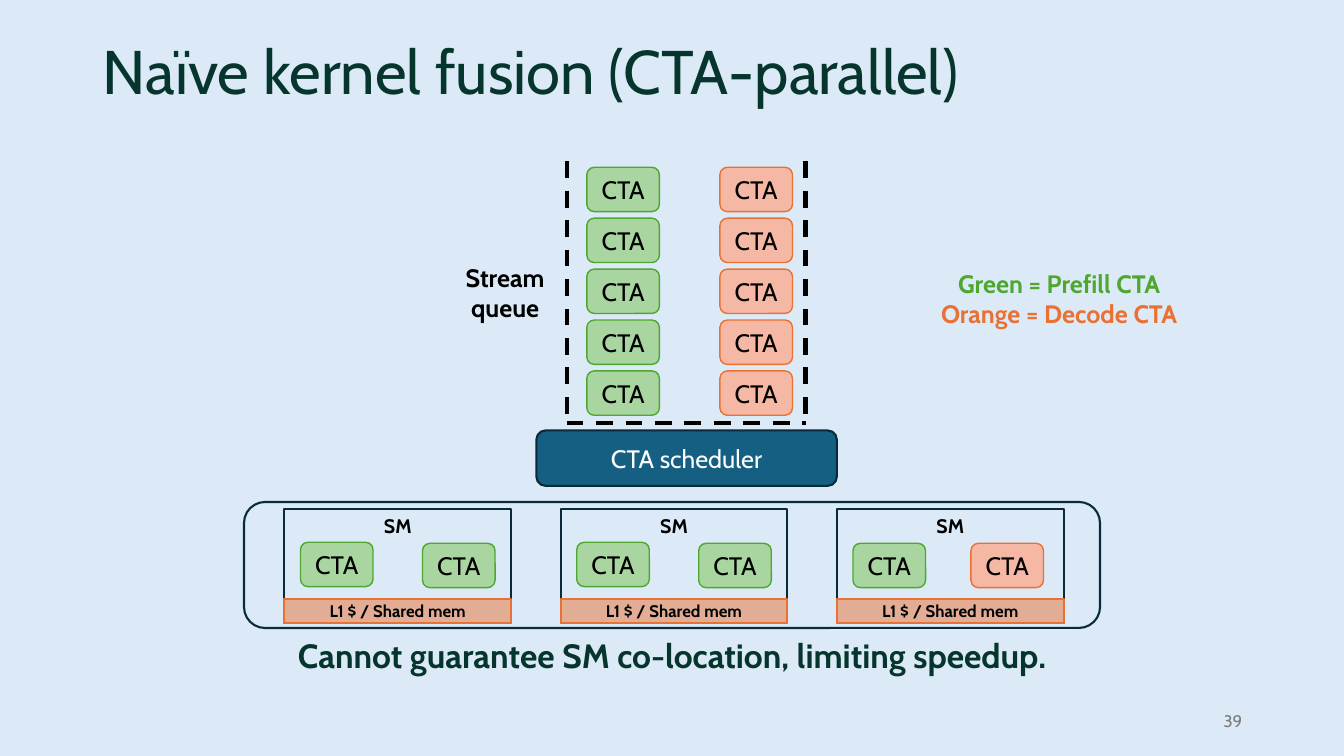
from lxml import etree
from pptx import Presentation
from pptx.dml.color import RGBColor
from pptx.enum.dml import MSO_LINE
from pptx.enum.shapes import MSO_CONNECTOR, MSO_SHAPE
from pptx.enum.text import MSO_ANCHOR as Anchor, MSO_AUTO_SIZE, PP_ALIGN as Align
from pptx.oxml.ns import qn
from pptx.util import Inches, Pt

TITLE = "Naïve kernel fusion (CTA-parallel)"
TAKEAWAY = "Cannot guarantee SM co-location, limiting speedup."
PAGE_NUMBER = "39"
QUEUE_LABEL = ["Stream", "queue"]
LEGEND = [("Green = Prefill CTA", "prefill_line"), ("Orange = Decode CTA", "decode_line")]
QUEUE = ["prefill", "decode"]
QUEUE_DEPTH = 5
# Each SM holds (kind, left offset, top offset) for its CTAs
SMS = [
    [("prefill", 0.16, 0.33), ("prefill", 1.37, 0.34)],
    [("prefill", 0.16, 0.33), ("prefill", 1.37, 0.34)],
    [("prefill", 0.16, 0.34), ("decode", 1.33, 0.34)],
]

COLORS = {
    "background": "DCEAF7", "heading": "06352E", "muted": "797979",
    "black": "000000", "white": "FFFFFF", "outline": "092A39",
    "scheduler": "156082", "prefill": "A8D5A0", "prefill_line": "4EA72E",
    "decode": "F5B8A5", "decode_line": "E97132",
}
FONT = "Cabin"
SLIDE_W, SLIDE_H = 13.33, 7.5
MARGIN = 0.92
CONTENT_W = SLIDE_W - 2 * MARGIN
CTA_W, CTA_H = 0.72, 0.44
QUEUE_LEFT, QUEUE_RIGHT, QUEUE_TOP, QUEUE_BOTTOM = 5.62, 7.99, 1.6, 4.2
LANE_LEFT, LANE_PITCH = 5.82, 1.32
FIRST_CTA_TOP, LAST_CTA_TOP = 1.66, 3.68
SM_LEFT, SM_TOP, SM_PITCH = 2.82, 5.05, 2.74
SM_W, SM_H, MEMORY_H = 2.25, 1.13, 0.24


def rgb(name):
    return RGBColor.from_string(COLORS[name])


def write(shape, lines, size, color="black", bold=False, align=Align.CENTER,
          anchor=Anchor.MIDDLE, wrap=True, spacing=None):
    """Fill a shape with lines, each a string or a (string, color) pair."""
    frame = shape.text_frame
    frame.auto_size = MSO_AUTO_SIZE.NONE
    frame.word_wrap = wrap
    frame.vertical_anchor = anchor
    for index, line in enumerate(lines):
        words, line_color = (line, color) if isinstance(line, str) else line
        para = frame.paragraphs[0] if index == 0 else frame.add_paragraph()
        para.alignment = align
        para.space_before = Pt(0)
        if spacing:
            para.line_spacing = spacing
        span = para.add_run()
        span.text = words
        span.font.name = FONT
        span.font.size = Pt(size)
        span.font.bold = bold
        span.font.color.rgb = rgb(line_color)


def place(shape, left, top, width, height):
    shape.left, shape.top = Inches(left), Inches(top)
    shape.width, shape.height = Inches(width), Inches(height)


def add_box(page, kind, left, top, width, height, line, fill=None, weight=1.5, alpha=None):
    box = page.shapes.add_shape(kind, Inches(left), Inches(top), Inches(width), Inches(height))
    box.shadow.inherit = False
    if fill:
        box.fill.solid()
        box.fill.fore_color.rgb = rgb(fill)
    else:
        box.fill.background()
    if alpha:
        color = box.fill._xPr.find(qn("a:solidFill"))[0]
        etree.SubElement(color, qn("a:alpha")).set("val", str(alpha * 1000))
    box.line.color.rgb = rgb(line)
    box.line.width = Pt(weight)
    return box


def add_label(page, left, top, width, height, lines, size, **style):
    box = page.shapes.add_textbox(Inches(left), Inches(top), Inches(width), Inches(height))
    write(box, lines, size, **style)


def add_cta(page, kind, left, top):
    box = add_box(page, MSO_SHAPE.ROUNDED_RECTANGLE, left, top, CTA_W, CTA_H,
                  kind + "_line", kind, weight=1)
    write(box, ["CTA"], 18)


def add_dashed_line(page, *ends):
    edge = page.shapes.add_connector(MSO_CONNECTOR.STRAIGHT, *map(Inches, ends))
    edge.line.color.rgb = rgb("black")
    edge.line.width = Pt(3)
    edge.line.dash_style = MSO_LINE.DASH
    etree.SubElement(edge._element.spPr, qn("a:effectLst"))


def add_headings(page):
    title, takeaway = page.placeholders
    place(title, MARGIN, 0.01, CONTENT_W, 1.45)
    write(title, [TITLE], 44, color="heading", align=Align.LEFT, spacing=0.9)
    place(takeaway, MARGIN, 6.09, CONTENT_W, 0.87)
    properties = takeaway.text_frame.paragraphs[0]._p.get_or_add_pPr()
    properties.set("marL", "0")
    properties.set("indent", "0")
    etree.SubElement(properties, qn("a:buNone"))
    write(takeaway, [TAKEAWAY], 24, color="heading", bold=True, spacing=0.9)
    add_label(page, 9.42, 6.95, 3, 0.4, [PAGE_NUMBER], 12, color="muted", align=Align.RIGHT)


def add_queue(page):
    for side in (QUEUE_LEFT, QUEUE_RIGHT):
        add_dashed_line(page, side, QUEUE_TOP, side, QUEUE_BOTTOM)
    add_dashed_line(page, QUEUE_LEFT, QUEUE_BOTTOM, QUEUE_RIGHT, QUEUE_BOTTOM)
    row_pitch = (LAST_CTA_TOP - FIRST_CTA_TOP) / (QUEUE_DEPTH - 1)
    for lane, kind in enumerate(QUEUE):
        for row in range(QUEUE_DEPTH):
            add_cta(page, kind, LANE_LEFT + lane * LANE_PITCH, FIRST_CTA_TOP + row * row_pitch)
    add_label(page, 4.49, 2.55, 1.04, 0.71, QUEUE_LABEL, 18, bold=True,
              anchor=Anchor.TOP, wrap=False)
    add_label(page, 9.18, 2.61, 2.65, 0.71, LEGEND, 18, bold=True,
              anchor=Anchor.TOP, wrap=False)


def add_processor(page):
    scheduler = add_box(page, MSO_SHAPE.ROUNDED_RECTANGLE, 5.32, 4.27, 2.98, 0.55,
                        "outline", "scheduler")
    write(scheduler, ["CTA scheduler"], 18, color="white")
    add_box(page, MSO_SHAPE.ROUNDED_RECTANGLE, 2.42, 4.98, 8.49, 1.25, "outline")
    for index, ctas in enumerate(SMS):
        left = SM_LEFT + index * SM_PITCH
        add_box(page, MSO_SHAPE.RECTANGLE, left, SM_TOP, SM_W, SM_H, "outline")
        memory = add_box(page, MSO_SHAPE.RECTANGLE, left, SM_TOP + SM_H - MEMORY_H, SM_W,
                         MEMORY_H, "decode_line", "decode_line", alpha=50)
        write(memory, ["L1 $ / Shared mem"], 12, bold=True)
        add_label(page, left + 0.88, SM_TOP, 0.49, 0.34, ["SM"], 14, bold=True,
                  anchor=Anchor.TOP, wrap=False)
        for kind, across, down in ctas:
            add_cta(page, kind, left + across, SM_TOP + down)


def main():
    deck = Presentation()
    deck.slide_width, deck.slide_height = Inches(SLIDE_W), Inches(SLIDE_H)
    page = deck.slides.add_slide(deck.slide_layouts[1])
    page.background.fill.solid()
    page.background.fill.fore_color.rgb = rgb("background")
    add_headings(page)
    add_queue(page)
    add_processor(page)
    deck.save("out.pptx")


if __name__ == "__main__":
    main()
